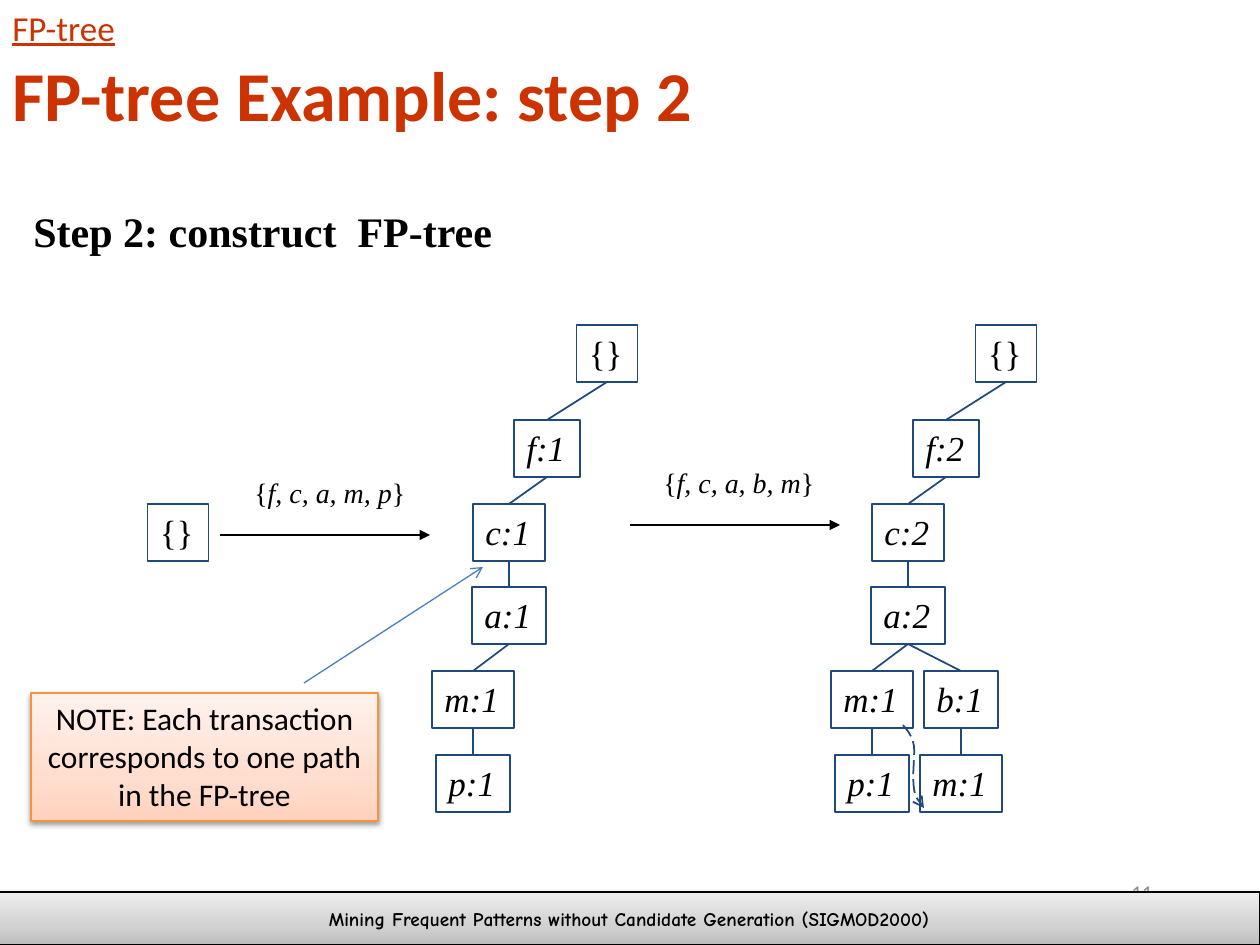
from lxml.etree import SubElement
from pptx import Presentation
from pptx.dml.color import RGBColor
from pptx.enum.dml import MSO_LINE
from pptx.enum.shapes import MSO_CONNECTOR, MSO_SHAPE
from pptx.enum.text import MSO_ANCHOR, MSO_AUTO_SIZE, PP_ALIGN
from pptx.oxml import parse_xml
from pptx.oxml.ns import nsdecls, qn
from pptx.util import Pt

SCALE = 914400 / 126
COLORS = {"title": "CC3300", "text": "000000", "number": "8C8C8C",
          "tree": "1F497D", "note": "F69240", "pointer": "4B7EBC"}
GREYS = [(0, "BDBDBD"), (35, "D1D1D1"), (100, "EEEEEE")]
PEACHES = [(0, "FFD2BD"), (35, "FFDED0"), (100, "FFF2ED")]
SERIF = "Times New Roman"

# Tree geometry: row tops and box widths by first character
ROWS = [325, 420, 504, 587, 671, 755]
BOX_H = 57
WIDTHS = {"{": 61, "f": 66, "c": 72, "a": 74, "m": 82, "p": 74, "b": 74}
TREE_GAP = 399
# label, centre x, row, index of parent
FIRST_TREE = [("{}", 607, 0, None), ("f:1", 547, 1, 0), ("c:1", 509, 2, 1),
              ("a:1", 509, 3, 2), ("m:1", 473, 4, 3), ("p:1", 473, 5, 4)]
SECOND_TREE = [(label.replace("1", "2") if row < 4 else label, x + TREE_GAP, row, parent)
               for label, x, row, parent in FIRST_TREE]
SECOND_TREE += [("b:1", 961, 4, 3), ("m:1", 961, 5, 6)]


def px(n):
    return round(n * SCALE)


def rgb(name):
    return RGBColor.from_string(COLORS[name])


def style_run(r, size, font, color="text", bold=False, italic=False, underline=False):
    f = r.font
    f.size, f.name, f.bold, f.italic, f.underline = Pt(size), font, bold, italic, underline
    f.color.rgb = rgb(color)


def set_text(sp, text, size, font, align=PP_ALIGN.LEFT, anchor=MSO_ANCHOR.TOP,
             wrap=False, grow=True, **look):
    tf = sp.text_frame
    tf.text = text
    tf.word_wrap = wrap
    tf.vertical_anchor = anchor
    tf.auto_size = MSO_AUTO_SIZE.SHAPE_TO_FIT_TEXT if grow else MSO_AUTO_SIZE.NONE
    p = tf.paragraphs[0]
    p.alignment = align
    for r in p.runs:
        style_run(r, size, font, **look)


def add_label(s, x, y, w, h, text, size, font, **look):
    sp = s.shapes.add_textbox(px(x), px(y), px(w), px(h))
    set_text(sp, text, size, font, **look)
    return sp


def add_box(s, x, y, w, h, line, width):
    sp = s.shapes.add_shape(MSO_SHAPE.RECTANGLE, px(x), px(y), px(w), px(h))
    sp.shadow.inherit = False
    sp.fill.background()
    sp.line.color.rgb = rgb(line)
    sp.line.width = Pt(width)
    return sp


def add_gradient_box(s, x, y, w, h, line, stops):
    sp = add_box(s, x, y, w, h, line, 0.75)
    spPr = sp._element.spPr
    gs = "".join(f'<a:gs pos="{pos * 1000}"><a:srgbClr val="{c}"/></a:gs>' for pos, c in stops)
    grad = parse_xml(f'<a:gradFill {nsdecls("a")} rotWithShape="1"><a:gsLst>{gs}</a:gsLst>'
                     '<a:lin ang="16200000" scaled="0"/></a:gradFill>')
    spPr.replace(spPr.find(qn("a:noFill")), grad)
    spPr.find(qn("a:effectLst")).append(parse_xml(
        f'<a:outerShdw {nsdecls("a")} blurRad="{Pt(3.1)}" dist="{Pt(1.6)}" dir="5400000" '
        'rotWithShape="0"><a:srgbClr val="000000"><a:alpha val="38000"/></a:srgbClr>'
        '</a:outerShdw>'))
    return sp


def add_head(sp, head):
    SubElement(sp.line._get_or_add_ln(), qn("a:tailEnd"), type=head)


def add_line(s, x1, y1, x2, y2, color="tree", width=1, head=None):
    cn = s.shapes.add_connector(MSO_CONNECTOR.STRAIGHT, px(x1), px(y1), px(x2), px(y2))
    cn.line.color.rgb = rgb(color)
    cn.line.width = Pt(width)
    if head:
        add_head(cn, head)
    SubElement(cn._element.spPr, qn("a:effectLst"))


def add_node(s, label, x, row):
    w = WIDTHS[label[0]]
    sp = add_box(s, x - w / 2, ROWS[row], w, BOX_H, "tree", 1)
    set_text(sp, label, 20, SERIF, italic=label != "{}")


def add_tree(s, nodes):
    for label, x, row, parent in nodes:
        add_node(s, label, x, row)
        if parent is not None:
            _, parent_x, parent_row, _ = nodes[parent]
            add_line(s, parent_x, ROWS[parent_row] + BOX_H, x, ROWS[row])


def add_transaction(s, x, y, items, arrow_x, arrow_y):
    sp = add_label(s, x, y, 176, 47, "{", 16, SERIF)
    p = sp.text_frame.paragraphs[0]
    for text, italic in ((items, True), ("}", False)):
        r = p.add_run()
        r.text = text
        style_run(r, 16, SERIF, italic=italic)
    add_line(s, arrow_x, arrow_y, arrow_x + 210, arrow_y, "text", 0.75, "triangle")


def bezier(points, steps=10):
    for i in range(1, steps + 1):
        t = i / steps
        weights = ((1 - t) ** 3, 3 * t * (1 - t) ** 2, 3 * t * t * (1 - t), t ** 3)
        yield tuple(px(sum(w * pt[k] for w, pt in zip(weights, points))) for k in (0, 1))


def add_node_link(s, points):
    fb = s.shapes.build_freeform(px(points[0][0]), px(points[0][1]))
    for i in range(0, len(points) - 1, 3):
        fb.add_line_segments(list(bezier(points[i:i + 4])), close=False)
    sp = fb.convert_to_shape()
    sp.shadow.inherit = False
    sp.fill.background()
    sp.line.color.rgb = rgb("tree")
    sp.line.width = Pt(1)
    sp.line.dash_style = MSO_LINE.LONG_DASH
    add_head(sp, "arrow")


def main():
    prs = Presentation()
    prs.slide_width, prs.slide_height = px(1260), px(945)
    s = prs.slides.add_slide(prs.slide_layouts[5])

    # Page number and footer bar
    add_label(s, 903, 861, 262, 63, "11", 12, "Calibri", align=PP_ALIGN.RIGHT,
              anchor=MSO_ANCHOR.MIDDLE, wrap=True, grow=False, color="number")
    footer = add_gradient_box(s, -1, 892, 1261, 53, "text", GREYS)
    set_text(footer, "Mining Frequent Patterns without Candidate Generation (SIGMOD2000)",
             11, "Comic Neue", align=PP_ALIGN.CENTER, anchor=MSO_ANCHOR.MIDDLE,
             grow=False, bold=True)

    # Headings
    title = s.shapes.title
    title.left, title.top, title.width, title.height = px(0), px(42), px(1229), px(103)
    set_text(title, "FP-tree Example: step 2", 40, "Calibri", anchor=MSO_ANCHOR.MIDDLE,
             wrap=True, grow=False, color="title", bold=True)
    add_label(s, 0, 0, 142, 54, "FP-tree", 20, "Calibri", color="title", underline=True)
    add_label(s, 21, 199, 485, 63, "Step 2: construct  FP-tree", 24, SERIF, bold=True)

    # Trees and the transactions that lead to them
    add_node(s, "{}", 178, 2)
    add_transaction(s, 242, 469, "f, c, a, m, p", 220, 535)
    add_tree(s, FIRST_TREE)
    add_transaction(s, 651, 459, "f, c, a, b, m", 630, 525)
    add_tree(s, SECOND_TREE)
    add_node_link(s, [(903, 725), (907, 730), (912, 735), (914, 746), (915, 756),
                      (912, 777), (914, 788), (915, 798), (920, 803), (924, 808)])

    # Note with pointer
    note = add_gradient_box(s, 31, 693, 347, 128, "note", PEACHES)
    set_text(note, "NOTE: Each transaction corresponds to one path in the FP-tree",
             18, "Calibri", align=PP_ALIGN.CENTER, wrap=True)
    add_line(s, 304, 683, 483, 567, "pointer", 0.75, "arrow")

    prs.save("out.pptx")


main()
